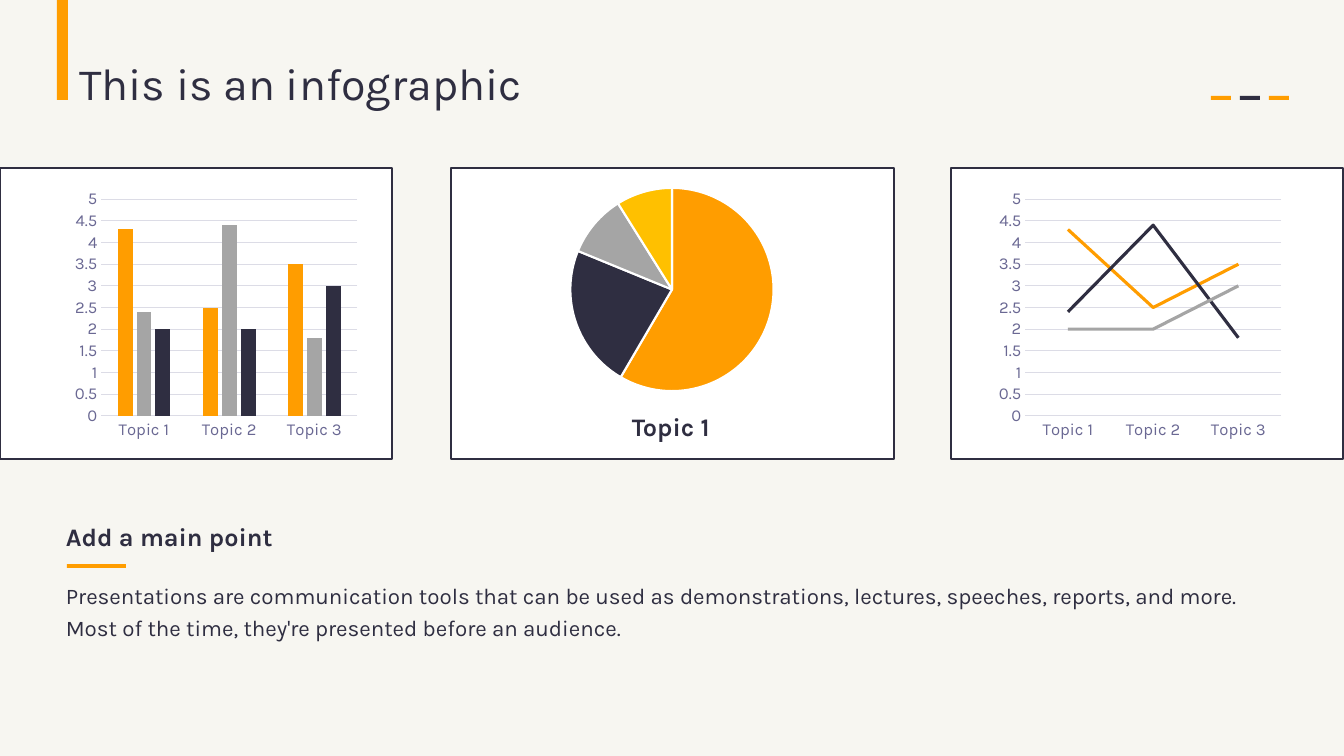
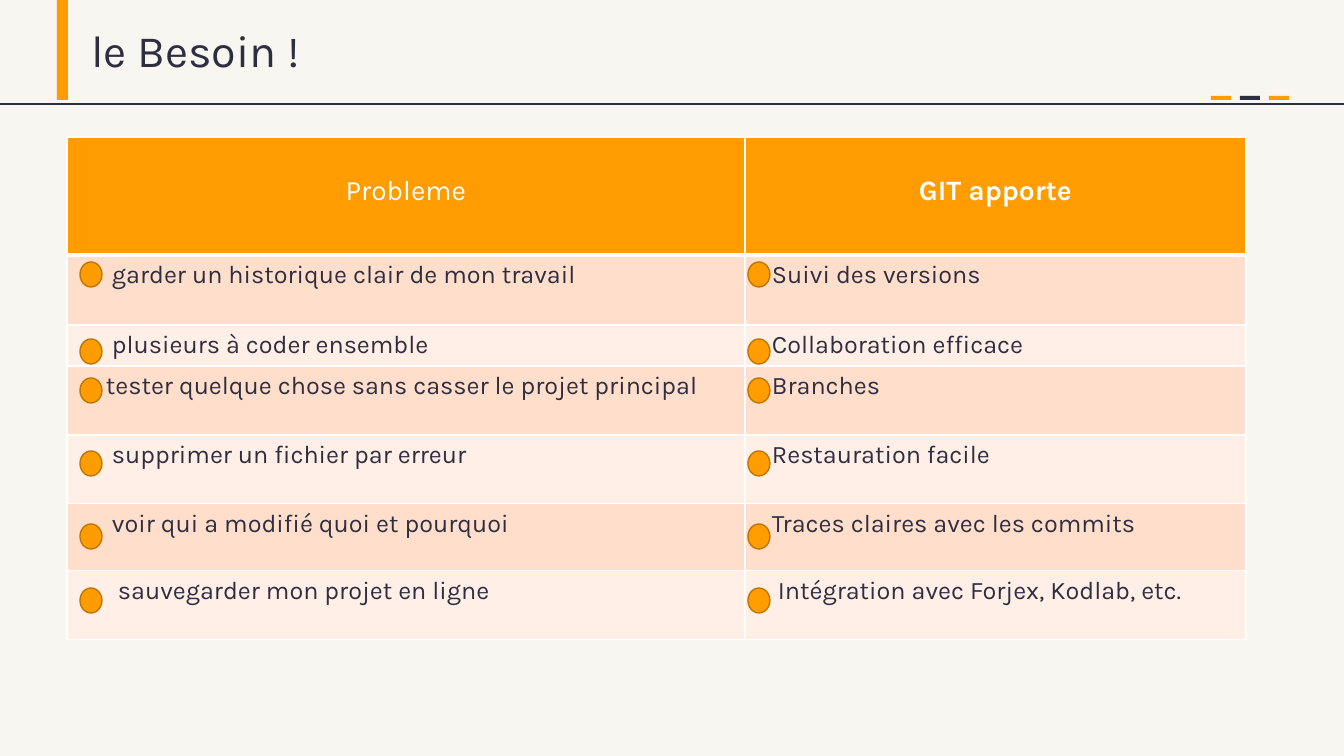
"""Build an infographic slide and a two-column comparison slide."""
from dataclasses import dataclass

from lxml import etree
from pptx import Presentation
from pptx.chart.data import CategoryChartData
from pptx.dml.color import RGBColor
from pptx.enum.chart import XL_CHART_TYPE, XL_TICK_MARK
from pptx.enum.shapes import MSO_CONNECTOR, MSO_SHAPE
from pptx.enum.text import MSO_ANCHOR, MSO_AUTO_SIZE, PP_ALIGN
from pptx.oxml.ns import qn
from pptx.util import Inches, Pt

COLUMN, PIE, LINE = XL_CHART_TYPE.COLUMN_CLUSTERED, XL_CHART_TYPE.PIE, XL_CHART_TYPE.LINE
NO_TICK = XL_TICK_MARK.NONE
RECTANGLE, OVAL = MSO_SHAPE.RECTANGLE, MSO_SHAPE.OVAL
STRAIGHT = MSO_CONNECTOR.STRAIGHT
TOP = MSO_ANCHOR.TOP
FIXED_SIZE = MSO_AUTO_SIZE.NONE
LEFT, CENTER = PP_ALIGN.LEFT, PP_ALIGN.CENTER
TITLE_ONLY = 5
PX_PER_INCH = 100.8
PAGE_WIDTH, PAGE_HEIGHT = 1344, 756


@dataclass(frozen=True)
class Theme:
    font: str = "Karla"
    paper: str = "F7F6F1"
    white: str = "FFFFFF"
    ink: str = "2F2E41"
    accent: str = "FF9D00"
    accent_edge: str = "BF7600"
    gray: str = "A5A5A5"
    yellow: str = "FFC000"
    axis_text: str = "6A6893"
    grid: str = "DCDCE6"
    bands: tuple = ("FFDFCC", "FFEFE7")
    title: int = 32
    header: int = 20
    heading: int = 18
    body: int = 16
    chart: int = 10
    axis: float = 11.9


def px(length):
    return round(length * Inches(1) / PX_PER_INCH)


def px_all(*lengths):
    return [px(length) for length in lengths]


def color(value):
    return RGBColor.from_string(value)


def assign(target, values):
    for name, value in values.items():
        setattr(target, name, value)


def paint(fill, value):
    fill.solid()
    fill.fore_color.rgb = color(value)


def stroke(line, value, width=1):
    paint(line.fill, value)
    line.width = Pt(width)


class Deck:
    def __init__(self, theme):
        self.theme = theme
        self.presentation = Presentation()
        assign(self.presentation, {"slide_width": px(PAGE_WIDTH), "slide_height": px(PAGE_HEIGHT)})
        paint(self.presentation.slide_master.background.fill, theme.paper)
        self.page = None

    def add_page(self, title, left, top, ruled=False):
        layout = self.presentation.slide_layouts[TITLE_ONLY]
        self.page = self.presentation.slides.add_slide(layout)
        if ruled:
            self.rule(104)
        box = self.page.shapes.title
        self.place(box, left, top, 749, 65)
        self.set_text(box.text_frame, title, self.theme.title)
        self.shape(57, 0, 11, 100, self.theme.accent)
        for index, fill in enumerate((self.theme.accent, self.theme.ink, self.theme.accent)):
            self.shape(1211 + 29 * index, 96, 20, 4, fill)

    def place(self, box, *bounds):
        assign(box, dict(zip(("left", "top", "width", "height"), px_all(*bounds))))

    def style(self, font, size, fill, bold=False):
        assign(font, {"name": self.theme.font, "size": Pt(size), "bold": bold})
        font.color.rgb = color(fill)

    def set_text(self, frame, text, size, bold=False, spacing=1.0):
        assign(frame, {"word_wrap": True, "auto_size": FIXED_SIZE, "vertical_anchor": TOP})
        para = frame.paragraphs[0]
        assign(para, {"alignment": LEFT, "line_spacing": spacing})
        span = para.add_run()
        span.text = text
        self.style(span.font, size, self.theme.ink, bold)

    def text(self, left, top, width, height, text, size, bold=False, spacing=1.0):
        box = self.page.shapes.add_textbox(*px_all(left, top, width, height))
        self.set_text(box.text_frame, text, size, bold, spacing)

    def shape(self, left, top, width, height, fill, edge=None, kind=RECTANGLE):
        shape = self.page.shapes.add_shape(kind, *px_all(left, top, width, height))
        shape.shadow.inherit = False
        paint(shape.fill, fill)
        if edge:
            stroke(shape.line, edge)
        else:
            shape.line.fill.background()

    def rule(self, top):
        line = self.page.shapes.add_connector(STRAIGHT, *px_all(0, top, PAGE_WIDTH, top))
        stroke(line.line, self.theme.ink)
        etree.SubElement(line._element.spPr, qn("a:effectLst"))

    def chart(self, kind, bounds, categories, series):
        data = CategoryChartData()
        data.categories = categories
        for number, values in enumerate(series, 1):
            data.add_series(f"Series {number}", values)
        chart = self.page.shapes.add_chart(kind, *px_all(*bounds), data).chart
        assign(chart, {"has_legend": False, "has_title": False})
        self.style(chart.font, self.theme.chart, self.theme.ink)
        return chart

    def axes(self, chart):
        for axis in (chart.category_axis, chart.value_axis):
            assign(axis, {"major_tick_mark": NO_TICK, "minor_tick_mark": NO_TICK})
            self.style(axis.tick_labels.font, self.theme.axis, self.theme.axis_text)
        stroke(chart.category_axis.format.line, self.theme.grid, 0.75)
        scale = chart.value_axis
        assign(scale, {"minimum_scale": 0, "maximum_scale": 5, "major_unit": 0.5,
                       "has_major_gridlines": True})
        scale.format.line.fill.background()
        stroke(scale.major_gridlines.format.line, self.theme.grid, 0.75)

    def column_chart(self, bounds, categories, series, colors):
        chart = self.chart(COLUMN, bounds, categories, series)
        self.axes(chart)
        plot = chart.plots[0]
        assign(plot, {"gap_width": 219, "overlap": -27, "vary_by_categories": False})
        for item, fill in zip(plot.series, colors):
            paint(item.format.fill, fill)

    def line_chart(self, bounds, categories, series, colors):
        chart = self.chart(LINE, bounds, categories, series)
        self.axes(chart)
        plot = chart.plots[0]
        plot.vary_by_categories = False
        for item, fill in zip(plot.series, colors):
            item.smooth = False
            stroke(item.format.line, fill, 2.25)

    def pie_chart(self, bounds, categories, values, colors):
        plot = self.chart(PIE, bounds, categories, [values]).plots[0]
        plot.vary_by_categories = True
        for index, fill in enumerate(colors):
            point = plot.series[0].points[index]
            paint(point.format.fill, fill)
            stroke(point.format.line, self.theme.white, 1.5)

    def borders(self, cell, widths):
        properties = cell._tc.get_or_add_tcPr()
        for index, (side, width) in enumerate(widths.items()):
            line = etree.Element(qn(f"a:ln{side}"), w=str(Pt(width)))
            fill = etree.SubElement(line, qn("a:solidFill"))
            etree.SubElement(fill, qn("a:srgbClr"), val=self.theme.white)
            properties.insert(index, line)

    def cell(self, cell, text, fill, margins, font, alignment, widths):
        left, top = px_all(*margins)
        assign(cell, {"margin_left": left, "margin_top": top, "vertical_anchor": TOP})
        paint(cell.fill, fill)
        self.borders(cell, widths)
        para = cell.text_frame.paragraphs[0]
        para.alignment = alignment
        span = para.add_run()
        span.text = text
        self.style(span.font, *font)

    def table(self, left, top, widths, heights, headers, rows, indents, nudges):
        theme = self.theme
        grid = self.page.shapes.add_table(
            len(heights), len(widths), *px_all(left, top, sum(widths), sum(heights))).table
        assign(grid, {"first_row": False, "horz_banding": False})
        for column, width in zip(grid.columns, widths):
            column.width = px(width)
        for row, height in zip(grid.rows, heights):
            row.height = px(height)
        thin = dict.fromkeys("LRTB", 1)
        for column, (text, bold) in enumerate(headers):
            self.cell(grid.cell(0, column), text, theme.accent, (10, 38),
                      (theme.header, theme.white, bold), CENTER, {**thin, "B": 3})
        for number, texts in enumerate(rows, 1):
            edges = {**thin, "T": 3} if number == 1 else thin
            for column, text in enumerate(texts):
                margin = indents[column] + nudges.get((number, column), 0)
                self.cell(grid.cell(number, column), text, theme.bands[(number - 1) % 2],
                          (margin, 5), (theme.heading, theme.ink), LEFT, edges)


def infographic(deck):
    theme = deck.theme
    deck.add_page("This is an infographic", 69, 51)
    for left, width in ((451, 443), (0, 392), (951, 392)):
        deck.shape(left, 168, width, 291, theme.white, theme.ink)
    topics = ("Topic 1", "Topic 2", "Topic 3")
    series = ((4.3, 2.5, 3.5), (2.4, 4.4, 1.8), (2, 2, 3))
    deck.column_chart((69, 184, 294, 261), topics, series,
                      (theme.accent, theme.gray, theme.ink))
    deck.pie_chart((499, 174, 346, 231), ("1", "2", "3", "4"), (59, 23, 10, 9),
                   (theme.accent, theme.ink, theme.gray, theme.yellow))
    deck.text(622, 400, 181, 45, "Topic 1", theme.heading, True, 1.2)
    deck.line_chart((993, 184, 294, 261), topics, series,
                    (theme.accent, theme.ink, theme.gray))
    deck.text(56, 572, 1230, 73,
              "Presentations are communication tools that can be used as demonstrations, "
              "lectures, speeches, reports, and more. Most of the time, they're presented "
              "before an audience.", theme.body, spacing=1.2)
    deck.text(56, 516, 321, 40, "Add a main point", theme.heading, True)
    deck.shape(67, 564, 59, 4, theme.accent)


def needs(deck):
    theme = deck.theme
    deck.add_page("le Besoin !", 81, 18, ruled=True)
    rows = (
        ("garder un historique clair de mon travail", "Suivi des versions"),
        ("plusieurs à coder ensemble", "Collaboration efficace"),
        ("tester quelque chose sans casser le projet principal", "Branches"),
        ("supprimer un fichier par erreur", "Restauration facile"),
        ("voir qui a modifié quoi et pourquoi", "Traces claires avec les commits"),
        ("sauvegarder mon projet en ligne", "Intégration avec Forjex, Kodlab, etc."),
    )
    deck.table(67, 137, (678, 501), (118, 70, 41, 69, 69, 67, 69),
               (("Probleme", False), ("GIT apporte", True)), rows,
               (45, 27), {(3, 0): -6, (6, 0): 6, (6, 1): 6})
    for left in (80, 748):
        for top in (262, 339, 378, 451, 524, 588):
            deck.shape(left, top, 22, 25, theme.accent, theme.accent_edge, OVAL)


def main():
    deck = Deck(Theme())
    infographic(deck)
    needs(deck)
    deck.presentation.save("out.pptx")


if __name__ == "__main__":
    main()
